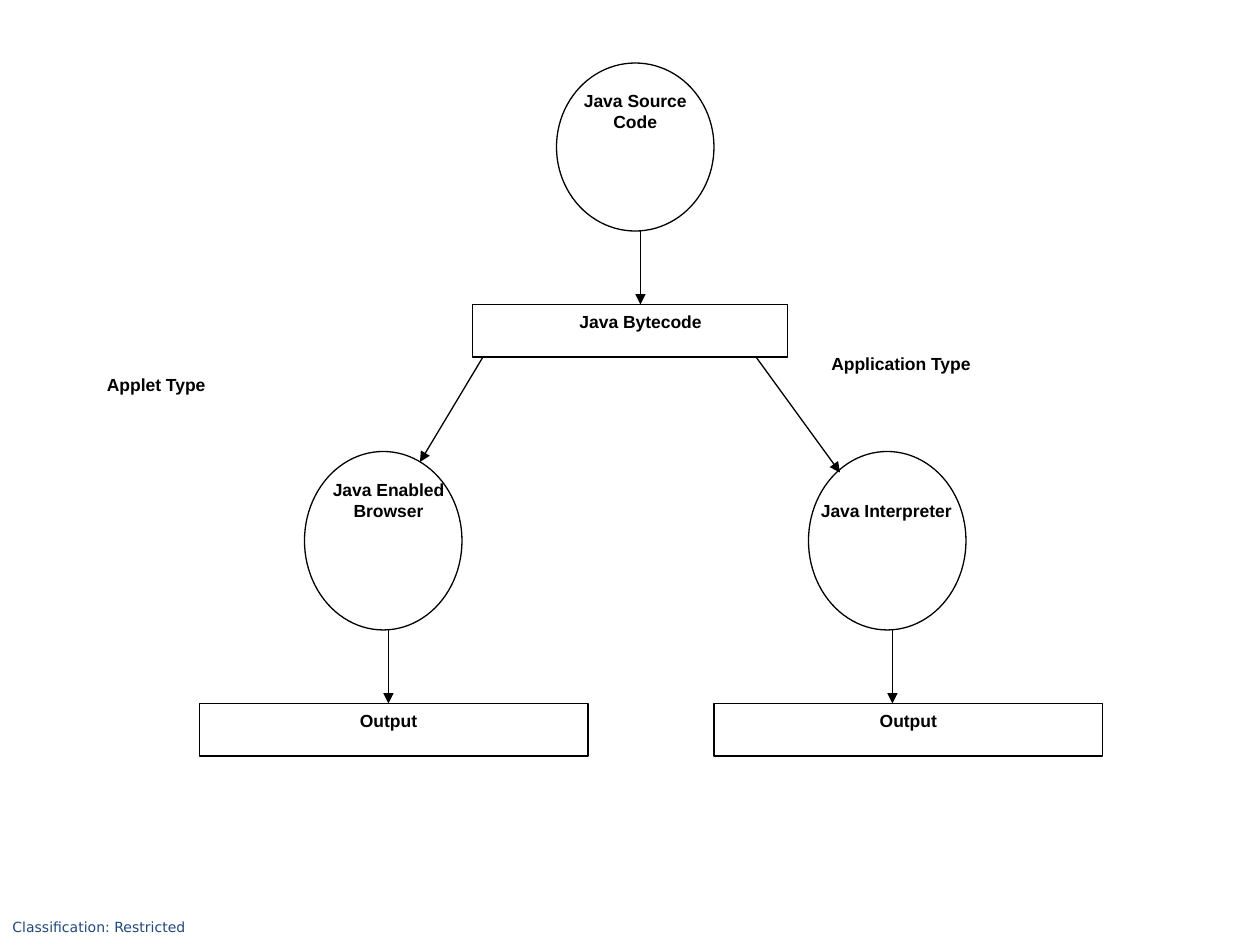
from lxml import etree
from pptx import Presentation
from pptx.dml.color import RGBColor
from pptx.enum.shapes import MSO_CONNECTOR, MSO_SHAPE
from pptx.enum.text import PP_ALIGN
from pptx.oxml.ns import qn
from pptx.util import Pt

LEFT, CENTER = PP_ALIGN.LEFT, PP_ALIGN.CENTER
OVAL, RECT = MSO_SHAPE.OVAL, MSO_SHAPE.RECTANGLE
STRAIGHT = MSO_CONNECTOR.STRAIGHT
BLANK_LAYOUT = 6
BLACK, NAVY = "000000", "1F497D"
LINE_WIDTH = 0.75
LABEL_FONT = {"name": "Arial", "size": Pt(10), "bold": True}
FOOTER_FONT = {"name": "DejaVu Sans", "size": Pt(8), "bold": False}

# Boxes are left, top, width, height; arrows are x1, y1, x2, y2.
NODES = [
    (OVAL, (318, 36, 90, 96)),
    (OVAL, (462, 258, 90, 102)),
    (OVAL, (174, 258, 90, 102)),
    (RECT, (270, 174, 180, 30)),
    (RECT, (114, 402, 222, 30)),
    (RECT, (408, 402, 222, 30)),
]
ARROWS = [
    (366, 132, 366, 174),
    (276, 204, 240, 264),
    (432, 204, 480, 270),
    (222, 360, 222, 402),
    (510, 360, 510, 402),
]
LABELS = [
    ("Java Source Code", (324, 48, 78, 72), CENTER),
    ("Java Bytecode", (282, 174, 168, 20), CENTER),
    ("Java Enabled Browser", (174, 270, 96, 72), CENTER),
    ("Java Interpreter", (462, 282, 102, 50), LEFT),
    ("Output", (126, 402, 192, 29), CENTER),
    ("Output", (420, 402, 198, 29), CENTER),
    ("Application Type", (468, 198, 150, 29), LEFT),
    ("Applet Type", (54, 210, 192, 29), LEFT),
]


def color(hex_value):
    return RGBColor.from_string(hex_value)


def points(values):
    return [Pt(v) for v in values]


def format_line(line):
    line.color.rgb = color(BLACK)
    line.width = Pt(LINE_WIDTH)


def add_node(s, kind, box):
    sp = s.shapes.add_shape(kind, *points(box))
    sp.shadow.inherit = False
    sp.fill.background()
    format_line(sp.line)


def add_arrow(s, ends):
    cx = s.shapes.add_connector(STRAIGHT, *points(ends))
    format_line(cx.line)
    etree.SubElement(cx.line._get_or_add_ln(), qn("a:tailEnd"), type="triangle")
    etree.SubElement(cx._element.spPr, qn("a:effectLst"))


def add_label(s, text, box, align=LEFT, font=LABEL_FONT, hex_value=BLACK, wrap=True):
    tf = s.shapes.add_textbox(*points(box)).text_frame
    tf.word_wrap = wrap
    p = tf.paragraphs[0]
    p.alignment = align
    r = p.add_run()
    r.text = text
    for name, value in font.items():
        setattr(r.font, name, value)
    r.font.color.rgb = color(hex_value)


def main():
    prs = Presentation()
    prs.slide_width, prs.slide_height = Pt(720), Pt(540)
    s = prs.slides.add_slide(prs.slide_layouts[BLANK_LAYOUT])
    add_label(s, "Classification: Restricted", (0, 521.5, 114, 16.5),
              font=FOOTER_FONT, hex_value=NAVY, wrap=False)
    for kind, box in NODES:
        add_node(s, kind, box)
    for ends in ARROWS:
        add_arrow(s, ends)
    for text, box, align in LABELS:
        add_label(s, text, box, align)
    prs.save("out.pptx")


if __name__ == "__main__":
    main()
